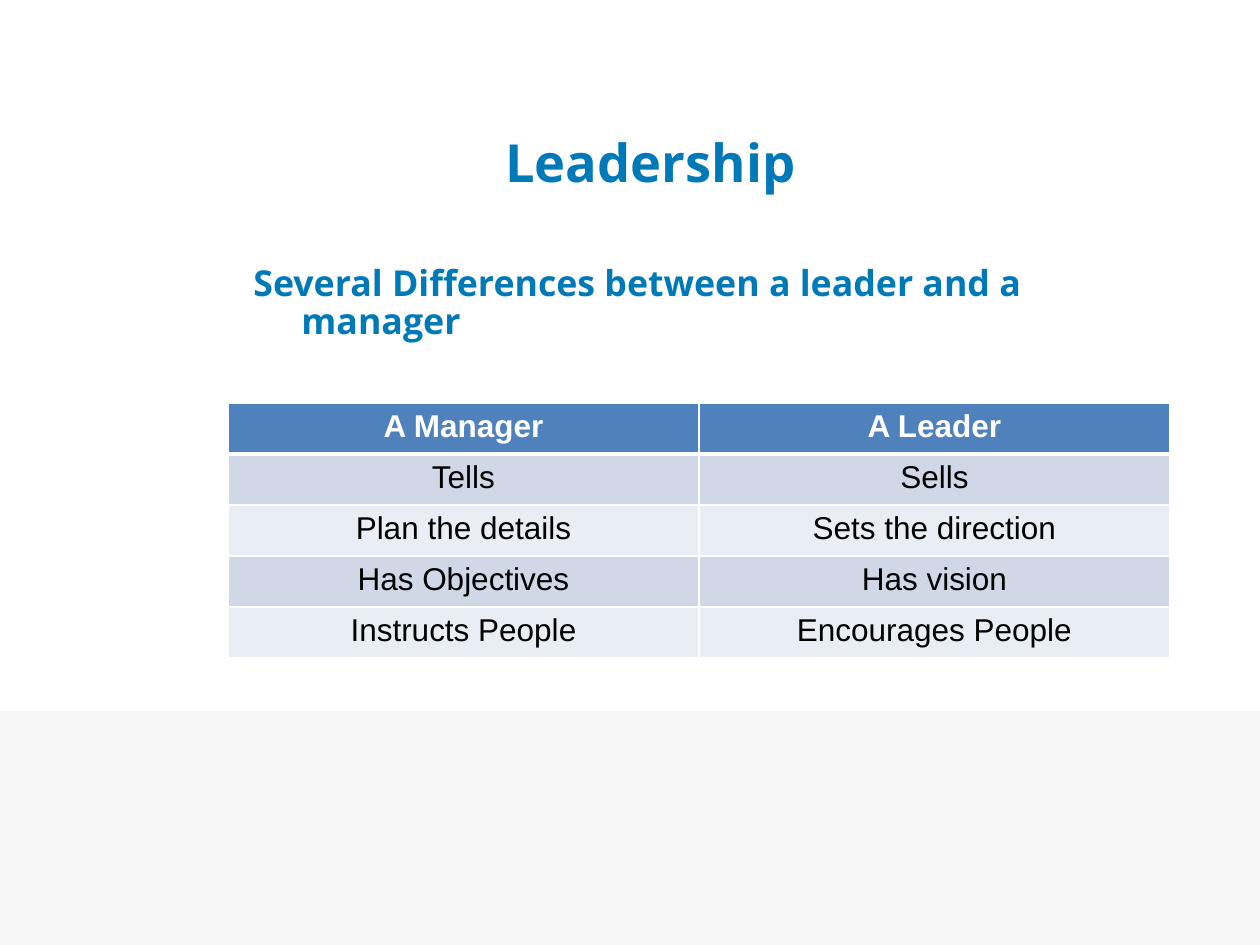
from dataclasses import dataclass

from lxml.etree import SubElement
from pptx import Presentation
from pptx.dml.color import RGBColor
from pptx.enum.shapes import MSO_SHAPE as Preset
from pptx.enum.text import MSO_ANCHOR as Anchor, PP_ALIGN as Align
from pptx.oxml.ns import qn
from pptx.util import Emu, Pt

PX = 914400 // 126
BLUE, WHITE, BLACK = "0079B8", "FFFFFF", "000000"
HEADER_FILL, BAND_FILLS = "4F81BD", ("D0D8E8", "E9EDF4")
ROWS = [
    ("A Manager", "A Leader"),
    ("Tells", "Sells"),
    ("Plan the details", "Sets the direction"),
    ("Has Objectives", "Has vision"),
    ("Instructs People", "Encourages People"),
]


@dataclass
class Box:
    """A rectangle measured in px."""

    left: int
    top: int
    width: int
    height: int

    def emu(self) -> tuple:
        """Return the rectangle in EMU."""
        return tuple(Emu(n * PX) for n in (self.left, self.top, self.width, self.height))


@dataclass
class Heading:
    """A bold line of text with its hanging indent in px."""

    text: str
    box: Box
    size: float
    hang: int = 0
    line_spacing: float = 1.0


HEADINGS = [
    Heading("Leadership", Box(493, 107, 340, 110), 30),
    Heading("Several Differences between a leader and a manager",
            Box(241, 253, 942, 102), 20.4, 48, 0.9),
]


def color(value: str) -> RGBColor:
    """Turn a hex string into a colour."""
    return RGBColor.from_string(value)


def style(paragraph, font_name: str, size: float, value: str, bold: bool) -> None:
    """Format every run of a paragraph."""
    for run in paragraph.runs:
        run.font.name, run.font.size, run.font.bold = font_name, Pt(size), bold
        run.font.color.rgb = color(value)


def add_band(slide, box: Box, value: str) -> None:
    """Draw a plain filled rectangle."""
    shape = slide.shapes.add_shape(Preset.RECTANGLE, *box.emu())
    shape.shadow.inherit = False
    shape.fill.solid()
    shape.fill.fore_color.rgb = color(value)
    shape.line.fill.background()


def add_heading(slide, heading: Heading) -> None:
    """Draw a heading in its own text box."""
    frame = slide.shapes.add_textbox(*heading.box.emu()).text_frame
    frame.word_wrap = True
    frame.vertical_anchor = Anchor.MIDDLE
    frame.text = heading.text
    paragraph = frame.paragraphs[0]
    paragraph.line_spacing = heading.line_spacing
    if heading.hang:
        properties = paragraph._p.get_or_add_pPr()
        properties.set("marL", str(heading.hang * PX))
        properties.set("indent", str(-heading.hang * PX))
    style(paragraph, "Open Sans", heading.size, BLUE, True)


def add_borders(cell, top: int, bottom: int) -> None:
    """Give a cell white borders, with top and bottom widths in points."""
    properties = cell._tc.get_or_add_tcPr()
    for side, width in (("L", 1), ("R", 1), ("T", top), ("B", bottom)):
        line = SubElement(properties, qn(f"a:ln{side}"), w=str(Pt(width)))
        fill = SubElement(line, qn("a:solidFill"))
        SubElement(fill, qn("a:srgbClr"), val=WHITE)


def add_comparison(slide, box: Box) -> None:
    """Draw the table that compares managers and leaders."""
    table = slide.shapes.add_table(len(ROWS), len(ROWS[0]), *box.emu()).table
    for row, texts in enumerate(ROWS):
        header = row == 0
        value = HEADER_FILL if header else BAND_FILLS[(row - 1) % 2]
        for column, text in enumerate(texts):
            cell = table.cell(row, column)
            add_borders(cell, 3 if row == 1 else 1, 3 if header else 1)
            cell.fill.solid()
            cell.fill.fore_color.rgb = color(value)
            cell.text_frame.text = text
            paragraph = cell.text_frame.paragraphs[0]
            paragraph.alignment = Align.CENTER
            style(paragraph, "Arial", 18, WHITE if header else BLACK, header)


def main() -> None:
    """Build and save the slide."""
    presentation = Presentation()
    presentation.slide_width, presentation.slide_height = Emu(1260 * PX), Emu(945 * PX)
    slide = presentation.slides.add_slide(presentation.slide_layouts[6])
    add_band(slide, Box(0, 711, 1260, 234), "F7F7F7")
    add_comparison(slide, Box(228, 403, 942, 255))
    for heading in HEADINGS:
        add_heading(slide, heading)
    presentation.save("out.pptx")


if __name__ == "__main__":
    main()
